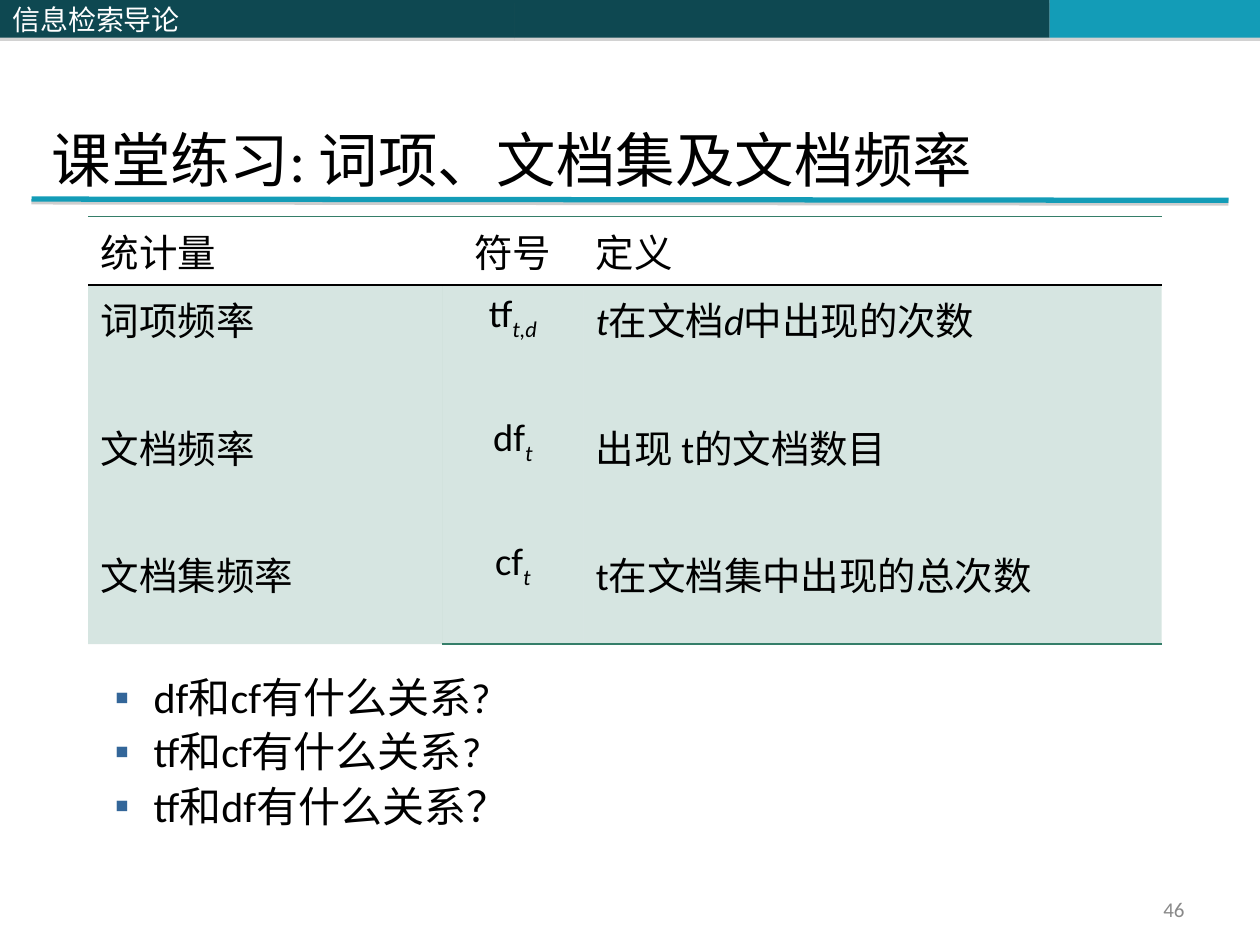
import pptx
import pptx.util
import pptx.dml.color
import pptx.enum.shapes
import pptx.enum.text
import pptx.oxml
import pptx.oxml.ns
import lxml.etree

Inches, Pt = pptx.util.Inches, pptx.util.Pt
ALIGN = pptx.enum.text.PP_ALIGN
ANCHOR = pptx.enum.text.MSO_ANCHOR
qn = pptx.oxml.ns.qn

# Content: a paragraph is a list of (text, format) runs
DARK, TEAL, GREEN, BLACK = "0E4851", "139CB7", "357E69", "000000"
COURSE = "信息检索导论"
TITLE = "课堂练习: 词项、文档集及文档频率"
QUESTIONS = ["df和cf有什么关系?", "tf和cf有什么关系?", "tf和df有什么关系？"]
PAGE = "46"

PLAIN, ITALIC, SUB = {}, {"italic": True}, {"italic": True, "baseline": -25}
NOTO = {"font": "Noto Sans"}
HEADER = [[[("统计量", PLAIN)]], [[("符号", NOTO)]], [[("定义", PLAIN)]]]
BODY = [
    [[("词项频率", PLAIN)], [("文档频率", PLAIN)], [("文档集频率", NOTO)]],
    [[("tf", PLAIN), ("t,d", SUB)], [("df", PLAIN), ("t", SUB)], [("cf", PLAIN), ("t", SUB)]],
    [[("t", ITALIC), ("在文档", PLAIN), ("d", ITALIC), ("中出现的次数", PLAIN)],
     [("出现 t的文档数目", PLAIN)],
     [("t在文档集中出现的总次数", PLAIN)]],
]
COLUMNS, ROWS = [2.81, 1.12, 4.59], [0.51, 2.85]
COLUMN_ALIGN = [ALIGN.LEFT, ALIGN.CENTER, ALIGN.LEFT]


def rgb(value):
    return pptx.dml.color.RGBColor.from_string(value)


def add_xml(parent, tag, **attributes):
    return lxml.etree.SubElement(parent, qn(tag), attributes)


def write(p, text, size=22, color=BLACK, font="Calibri", italic=False, baseline=0):
    r = p.add_run()
    r.text = text
    r.font.size, r.font.name = Pt(size), font
    r.font.italic, r.font.bold = italic, False
    r.font.color.rgb = rgb(color)
    if baseline:
        r._r.get_or_add_rPr().set("baseline", str(baseline * 1000))


def add_shadow(effects, alpha, distance):
    shadow = add_xml(effects, "a:outerShdw", blurRad="0", dist=str(Pt(distance)),
                     dir="5400000", rotWithShape="0")
    tint = add_xml(shadow, "a:srgbClr", val="808080")
    add_xml(tint, "a:alpha", val=str(alpha * 1000))


def add_bar(s, left, width, color):
    sp = s.shapes.add_shape(pptx.enum.shapes.MSO_SHAPE.RECTANGLE,
                            Inches(left), 0, Inches(width), Inches(0.3))
    sp.fill.solid()
    sp.fill.fore_color.rgb = rgb(color)
    sp.line.fill.background()
    sp.shadow.inherit = False
    add_shadow(sp._element.spPr.find(qn("a:effectLst")), 35, 1.8)
    return sp


def place(sp, left, top, width, height):
    sp.left, sp.top, sp.width, sp.height = map(Inches, (left, top, width, height))
    tf = sp.text_frame
    tf.word_wrap, tf.auto_size = True, pptx.enum.text.MSO_AUTO_SIZE.NONE
    return tf


def set_borders(cell, top=None, bottom=None):
    tcPr = cell._tc.get_or_add_tcPr()
    sides = [("a:lnL", None), ("a:lnR", None), ("a:lnT", top), ("a:lnB", bottom)]
    for i, (tag, color) in enumerate(sides):
        ln = lxml.etree.Element(qn(tag), w=str(Pt(1)))
        if color:
            add_xml(add_xml(ln, "a:solidFill"), "a:srgbClr", val=color)
        else:
            add_xml(ln, "a:noFill")
        tcPr.insert(i, ln)


def fill_cell(cell, paragraphs, align):
    tf = cell.text_frame
    for i, runs in enumerate(paragraphs):
        p = tf.add_paragraph() if i else tf.paragraphs[0]
        p.alignment = align
        p.space_before = Pt(41 if i else 0)
        for text, style in runs:
            write(p, text, **style)


prs = pptx.Presentation()
prs.slide_width, prs.slide_height = Inches(10), Inches(7.5)
s = prs.slides.add_slide(prs.slide_layouts[1])

# Header bars
add_bar(s, 4.08, 4.25, DARK)
add_bar(s, 8.33, 1.67, TEAL)
tf = add_bar(s, 0, 4.08, DARK).text_frame
tf.vertical_anchor = ANCHOR.MIDDLE
p = tf.paragraphs[0]
p.alignment = ALIGN.LEFT
write(p, COURSE, size=16, color="FFFFFF", font="Noto Sans CJK SC")

# Title and the rule beneath it
rule = s.shapes.add_connector(pptx.enum.shapes.MSO_CONNECTOR.STRAIGHT,
                              Inches(0.25), Inches(1.58), Inches(9.75), Inches(1.59))
rule.line.color.rgb = rgb(TEAL)
rule.line.width = Pt(3)
add_shadow(add_xml(rule._element.spPr, "a:effectLst"), 38, 1.6)

tf = place(s.shapes.title, 0.31, 0.01, 9.69, 1.53)
tf.vertical_anchor, tf.margin_bottom = ANCHOR.BOTTOM, 0
p = tf.paragraphs[0]
p.alignment = ALIGN.LEFT
write(p, TITLE, size=34)

# Questions
tf = place(s.placeholders[1], 0.31, 5.31, 9.06, 2.66)
tf.margin_top = Inches(0.09)
for i, question in enumerate(QUESTIONS):
    p = tf.add_paragraph() if i else tf.paragraphs[0]
    p.level, p.space_before, p.line_spacing = 1, Pt(7), 0.83
    pPr = p._p.get_or_add_pPr()
    pPr.set("marL", str(Inches(0.81)))
    pPr.set("indent", str(Inches(-0.31)))
    add_xml(add_xml(pPr, "a:buClr"), "a:srgbClr", val="336699")
    add_xml(pPr, "a:buChar", char="▪")
    write(p, question, size=24)

# Page number
tf = place(s.shapes.add_textbox(0, 0, 0, 0), 7.17, 7.08, 2.33, 0.27)
tf.vertical_anchor = ANCHOR.MIDDLE
p = tf.paragraphs[0]
p.alignment = ALIGN.RIGHT
write(p, PAGE, size=12, color="898989")

# Table of statistics
table = s.shapes.add_table(2, 3, Inches(0.7), Inches(1.72),
                           Inches(sum(COLUMNS)), Inches(sum(ROWS))).table
table.first_row = table.horz_banding = False
for row, height in zip(table.rows, ROWS):
    row.height = Inches(height)
for c, (width, align) in enumerate(zip(COLUMNS, COLUMN_ALIGN)):
    table.columns[c].width = Inches(width)
    head, body = table.cell(0, c), table.cell(1, c)
    fill_cell(head, HEADER[c], align)
    fill_cell(body, BODY[c], align)
    head.fill.background()
    body.fill.solid()
    body.fill.fore_color.rgb = rgb(GREEN)
    tint = body._tc.tcPr.find(".//" + qn("a:srgbClr"))
    add_xml(tint, "a:alpha", val="20000")
    set_borders(head, top=GREEN, bottom=BLACK)
    set_borders(body, top=BLACK, bottom=GREEN if c else None)

prs.save("out.pptx")
